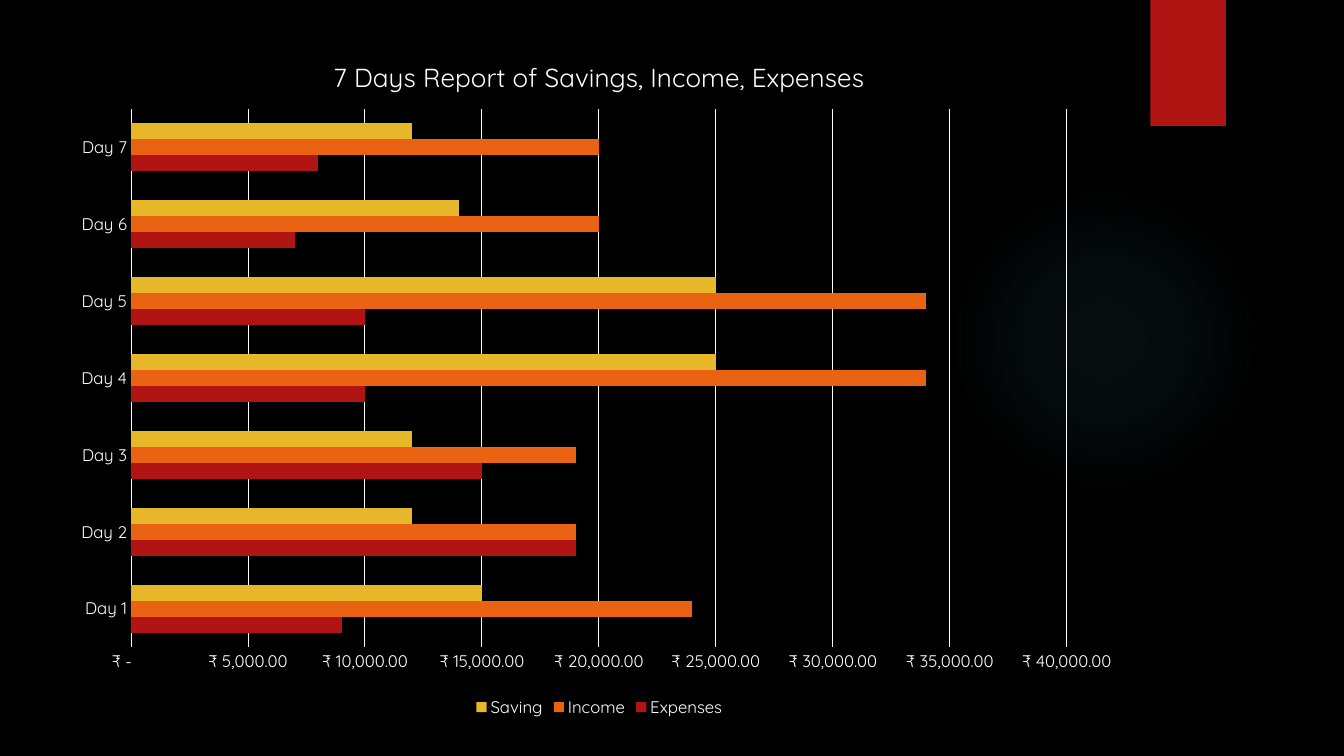
"""Build a slide with a bar chart of seven days of savings, income and expenses."""
from lxml import etree
from pptx import Presentation
from pptx.chart.data import CategoryChartData
from pptx.dml.color import RGBColor
from pptx.enum.chart import XL_CHART_TYPE, XL_LEGEND_POSITION, XL_TICK_MARK
from pptx.enum.shapes import MSO_SHAPE
from pptx.oxml import parse_xml
from pptx.oxml.ns import nsdecls, qn
from pptx.util import Inches, Pt

BAR_CLUSTERED = XL_CHART_TYPE.BAR_CLUSTERED
LEGEND_BOTTOM = XL_LEGEND_POSITION.BOTTOM
NO_TICK = XL_TICK_MARK.NONE
OVAL = MSO_SHAPE.OVAL
RECTANGLE = MSO_SHAPE.RECTANGLE

FONT = "Quicksand"
COLORS = {"black": "000000", "white": "FFFFFF", "glow": "50B9C1",
          "red": "B01513", "orange": "EA6312", "yellow": "E6B729"}
RUPEES = (r'_ [$₹-4009]\ * #,##0.00_ ;_ [$₹-4009]\ * \-#,##0.00_ ;'
          r'_ [$₹-4009]\ * "-"??_ ;_ @_ ')
TITLE = "7 Days Report of Savings, Income, Expenses"
DAYS = [f"Day {number}" for number in range(1, 8)]
SERIES = [
    ("Expenses", "red", (9000, 19000, 15000, 10000, 10000, 7000, 8000)),
    ("Income", "orange", (24000, 19000, 19000, 34000, 34000, 20000, 20000)),
    ("Saving", "yellow", (15000, 12000, 12000, 25000, 25000, 14000, 12000)),
]
GLOW_STOPS = [(0, 7), (36, 6), (69, 0)]
CHART_WIDTH, CHART_HEIGHT = 10.69, 6.82
PLOT_LEFT, PLOT_TOP, PLOT_WIDTH, PLOT_HEIGHT = 0.7, 0.74, 9.28, 5.34


def color(name):
    """Return the named colour."""
    return RGBColor.from_string(COLORS[name])


def paint(fill, name):
    """Set a solid fill."""
    fill.solid()
    fill.fore_color.rgb = color(name)


def style_font(font, size):
    """Set the white chart font at a size in points."""
    font.name = FONT
    font.size = Pt(size)
    font.bold = False
    font.color.rgb = color("white")


def style_line(line):
    """Set a thin white line."""
    line.color.rgb = color("white")
    line.width = Pt(0.75)


def add_plain_shape(page, kind, left, top, width, height, fill):
    """Add a filled shape without outline or shadow."""
    shape = page.shapes.add_shape(kind, Inches(left), Inches(top),
                                  Inches(width), Inches(height))
    shape.shadow.inherit = False
    shape.line.fill.background()
    paint(shape.fill, fill)
    return shape


def add_glow(page):
    """Add the faint round glow."""
    glow = add_plain_shape(page, OVAL, 9.41, 1.83, 3.08, 3.08, "glow")
    stops = "".join(
        f'<a:gs pos="{place * 1000}"><a:srgbClr val="{COLORS["glow"]}">'
        f'<a:alpha val="{alpha * 1000}"/></a:srgbClr></a:gs>'
        for place, alpha in GLOW_STOPS)
    gradient = parse_xml(
        f'<a:gradFill {nsdecls("a")}><a:gsLst>{stops}</a:gsLst><a:path path="circle">'
        '<a:fillToRect l="50000" t="50000" r="50000" b="50000"/></a:path></a:gradFill>')
    properties = glow.element.spPr
    properties.replace(properties.find(qn("a:solidFill")), gradient)


def add_ribbon(page):
    """Add the red ribbon with its soft shadow."""
    ribbon = add_plain_shape(page, RECTANGLE, 11.41, 0, 0.75, 1.25, "red")
    effects = ribbon.element.spPr.find(qn("a:effectLst"))
    shadow = etree.SubElement(effects, qn("a:outerShdw"), blurRad=str(Pt(3)),
                              dist=str(Pt(2)), dir="5400000", rotWithShape="0")
    tint = etree.SubElement(shadow, qn("a:srgbClr"), val=COLORS["black"])
    etree.SubElement(tint, qn("a:alpha"), val="45000")


def style_axes(chart):
    """Format the day axis and the rupee axis."""
    days, amounts = chart.category_axis, chart.value_axis
    for axis in (days, amounts):
        axis.major_tick_mark = axis.minor_tick_mark = NO_TICK
        style_font(axis.tick_labels.font, 12)
    style_line(days.format.line)
    amounts.format.line.fill.background()
    amounts.minimum_scale, amounts.maximum_scale = 0, 40000
    amounts.major_unit = 5000
    amounts.has_major_gridlines = True
    style_line(amounts.major_gridlines.format.line)
    amounts.tick_labels.number_format = RUPEES
    amounts.tick_labels.number_format_is_linked = False


def place_plot(chart):
    """Fix the inner plot area inside the chart."""
    area = chart.element.find(f'.//{qn("c:plotArea")}')
    for layout in area.findall(qn("c:layout")):
        area.remove(layout)
    shares = {"x": PLOT_LEFT / CHART_WIDTH, "y": PLOT_TOP / CHART_HEIGHT,
              "w": PLOT_WIDTH / CHART_WIDTH, "h": PLOT_HEIGHT / CHART_HEIGHT}
    sizes = "".join(f'<c:{side} val="{share:.4f}"/>' for side, share in shares.items())
    area.insert(0, parse_xml(
        f'<c:layout {nsdecls("c")}><c:manualLayout><c:layoutTarget val="inner"/>'
        f'<c:xMode val="edge"/><c:yMode val="edge"/>{sizes}</c:manualLayout></c:layout>'))


def add_report_chart(page):
    """Add the clustered bar chart."""
    data = CategoryChartData(number_format=RUPEES)
    data.categories = DAYS
    for name, _, values in SERIES:
        data.add_series(name, values)
    chart = page.shapes.add_chart(BAR_CLUSTERED, Inches(0.6), Inches(0.34),
                                  Inches(CHART_WIDTH), Inches(CHART_HEIGHT), data).chart
    style_font(chart.font, 10)
    chart.has_title = True
    chart.chart_title.include_in_layout = False
    heading = chart.chart_title.text_frame
    heading.text = TITLE
    style_font(heading.paragraphs[0].runs[0].font, 18.6)
    chart.has_legend = True
    chart.legend.position = LEGEND_BOTTOM
    chart.legend.include_in_layout = False
    style_font(chart.legend.font, 12)
    style_axes(chart)
    place_plot(chart)
    plot = chart.plots[0]
    plot.gap_width = 182
    plot.vary_by_categories = False
    for series, (_, fill, _) in zip(plot.series, SERIES):
        paint(series.format.fill, fill)


def main():
    """Build and save the deck."""
    deck = Presentation()
    deck.slide_width, deck.slide_height = Inches(13.33), Inches(7.5)
    page = deck.slides.add_slide(deck.slide_layouts[6])
    paint(page.background.fill, "black")
    add_glow(page)
    add_ribbon(page)
    add_report_chart(page)
    deck.save("out.pptx")


if __name__ == "__main__":
    main()
